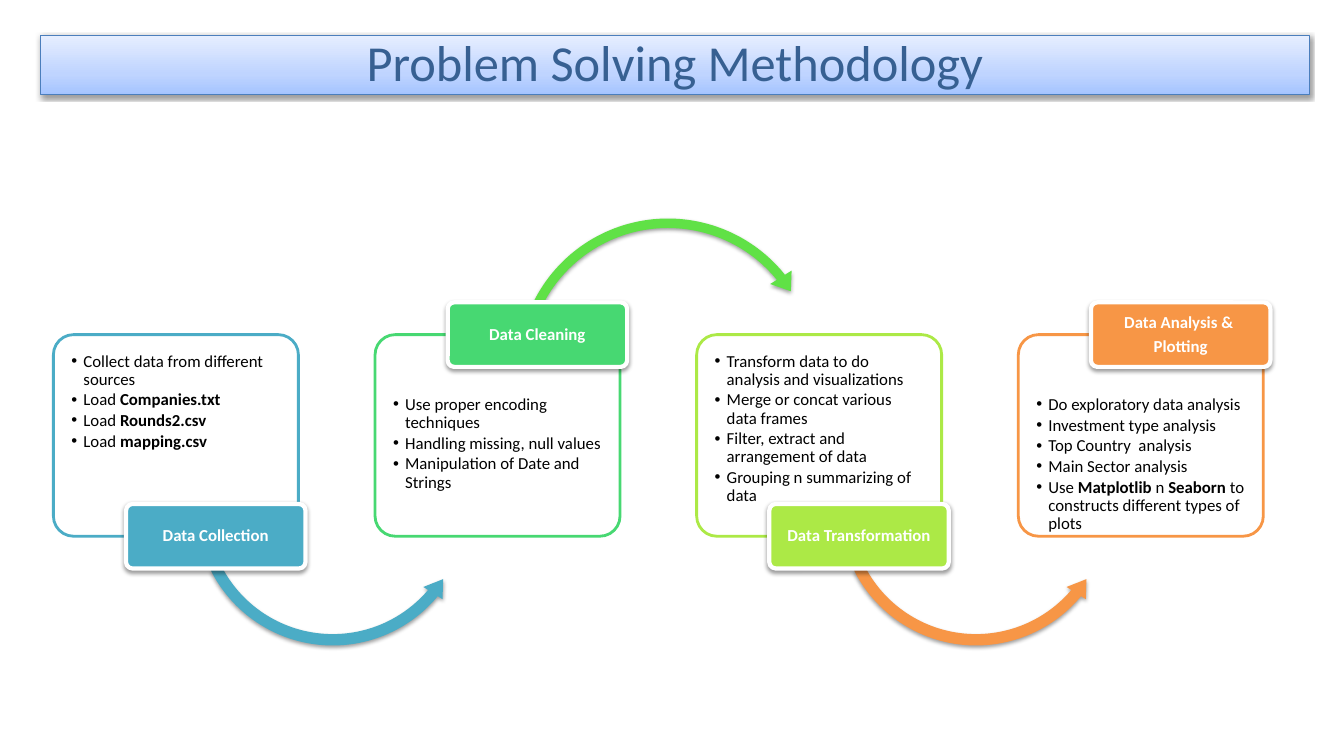
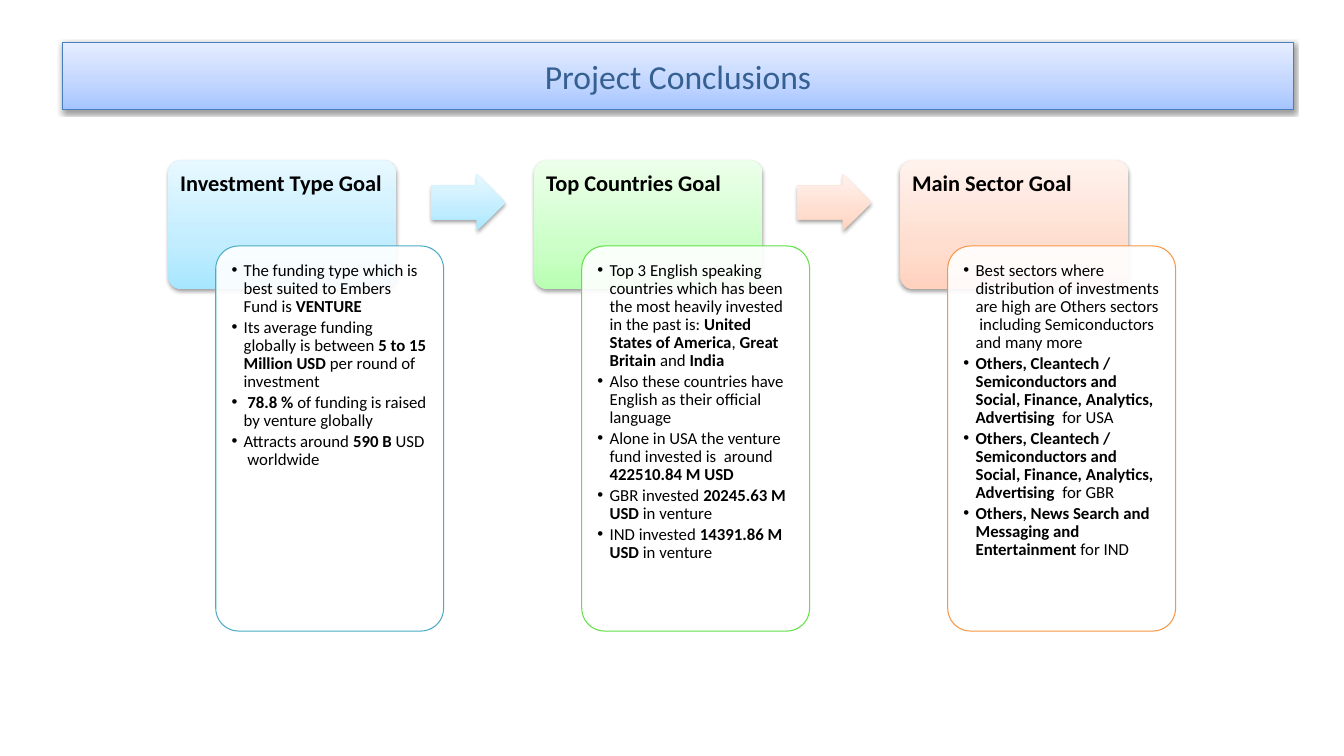
from lxml import etree
from pptx import Presentation
from pptx.dml.color import RGBColor
from pptx.enum.shapes import MSO_SHAPE
from pptx.enum.text import MSO_ANCHOR, PP_ALIGN
from pptx.oxml.ns import qn
from pptx.util import Emu, Inches, Pt

RECT, ROUNDED = MSO_SHAPE.RECTANGLE, MSO_SHAPE.ROUNDED_RECTANGLE
ARROW = MSO_SHAPE.RIGHT_ARROW
ARC_OVER, ARC_UNDER = MSO_SHAPE.CIRCULAR_ARROW, MSO_SHAPE.LEFT_CIRCULAR_ARROW
TOP, MIDDLE = MSO_ANCHOR.TOP, MSO_ANCHOR.MIDDLE
LEFT, CENTER = PP_ALIGN.LEFT, PP_ALIGN.CENTER

FONT = "Calibri"
BLACK = RGBColor(0x00, 0x00, 0x00)
WHITE = RGBColor(0xFF, 0xFF, 0xFF)
TITLE_TEXT = RGBColor(0x37, 0x60, 0x92)
TITLE_LINE = RGBColor(0x4B, 0x7E, 0xBC)
TEAL = RGBColor(0x4B, 0xAC, 0xC6)
EMERALD = RGBColor(0x47, 0xD8, 0x72)
GREEN = RGBColor(0x60, 0xE1, 0x46)
LIME = RGBColor(0xAC, 0xE9, 0x46)
ORANGE = RGBColor(0xF7, 0x96, 0x46)
BLUE_FADE = [RGBColor(0xA4, 0xC4, 0xFF), RGBColor(0xBF, 0xD4, 0xFF), RGBColor(0xE6, 0xEE, 0xFF)]
SKY_FADE = [RGBColor(0xA7, 0xE6, 0xFF), RGBColor(0xC1, 0xED, 0xFF), RGBColor(0xE7, 0xF8, 0xFF)]
MINT_FADE = [RGBColor(0xB9, 0xFF, 0xB2), RGBColor(0xCD, 0xFF, 0xC9), RGBColor(0xEC, 0xFF, 0xEA)]
PEACH_FADE = [RGBColor(0xFF, 0xD2, 0xBD), RGBColor(0xFF, 0xDE, 0xD0), RGBColor(0xFF, 0xF2, 0xED)]
FADE_STOPS = (0, 35000, 100000)

TITLE_FORMAT = {"size": 36, "color": TITLE_TEXT, "align": CENTER, "anchor": MIDDLE,
                "insets": (0.1, 0.05, 0.1, 0.05)}
BADGE_FORMAT = {"size": 12, "color": WHITE, "bold": True, "align": CENTER, "anchor": MIDDLE,
                "insets": (0.03, 0.02, 0.03, 0.02), "after": 4.2}
HEADING_FORMAT = {"size": 16, "color": BLACK, "bold": True, "insets": (0.08, 0.08, 0.08, 0.03)}
BULLET_FORMAT = {"size": 12, "color": BLACK, "after": 1.8, "bullet": True}

STEPS = [
    ("Data Collection", TEAL, TEAL,
     ["Collect data from different sources", "Load **Companies.txt**",
      "Load **Rounds2.csv**", "Load **mapping.csv**"]),
    ("Data Cleaning", EMERALD, GREEN,
     ["Use proper encoding techniques", "Handling missing, null values",
      "Manipulation of Date and Strings"]),
    ("Data Transformation", LIME, ORANGE,
     ["Transform data to do analysis and visualizations", "Merge or concat various data frames",
      "Filter, extract and arrangement of data", "Grouping n summarizing of data"]),
    ("Data Analysis & \nPlotting", ORANGE, None,
     ["Do exploratory data analysis", "Investment type analysis", "Top Country  analysis",
      "Main Sector analysis",
      "Use **Matplotlib** n **Seaborn** to constructs different types of plots"]),
]
SECTORS = "**Others, Cleantech / Semiconductors and Social, Finance, Analytics, Advertising  **for "
GOALS = [
    ("Investment Type Goal", SKY_FADE, TEAL, SKY_FADE,
     ["The funding type which is best suited to Embers Fund is **VENTURE**",
      "Its average funding globally is between **5 to 15 Million USD **per round of investment",
      " **78.8 % **of funding is raised by venture globally",
      "Attracts around **590 B **USD  worldwide"]),
    ("Top Countries Goal", MINT_FADE, GREEN, PEACH_FADE,
     ["Top 3 English speaking countries which has been  the most heavily invested in the past is: "
      "**United States of America**, **Great Britain **and **India**",
      "Also these countries have English as their official language",
      "Alone in USA the venture fund invested is  around  **422510.84 M USD**",
      "GBR invested **20245.63 M USD **in venture",
      "IND invested **14391.86 M USD **in venture"]),
    ("Main Sector Goal", PEACH_FADE, ORANGE, None,
     ["Best sectors where  distribution of investments are high are Others sectors  including "
      "Semiconductors and many more",
      SECTORS + "USA", SECTORS + "GBR",
      "**Others, News Search and Messaging and Entertainment **for IND"]),
]


def set_all(target, values):
    """Set each named attribute of the target."""
    for name, value in values.items():
        setattr(target, name, value)


def add_fade(shape, colors):
    """Fill a shape with a three-stop gradient rising from its bottom edge."""
    fade = etree.Element(qn("a:gradFill"), rotWithShape="1")
    stops = etree.SubElement(fade, qn("a:gsLst"))
    for position, color in zip(FADE_STOPS, colors):
        stop = etree.SubElement(stops, qn("a:gs"), pos=str(position))
        etree.SubElement(stop, qn("a:srgbClr"), val=str(color))
    etree.SubElement(fade, qn("a:lin"), ang="16200000", scaled="0")
    shape._element.spPr.find(qn("a:prstGeom")).addnext(fade)


def add_shadow(shape):
    """Give a shape a soft shadow falling downwards."""
    effects = shape._element.spPr.find(qn("a:effectLst"))
    shadow = etree.SubElement(effects, qn("a:outerShdw"), blurRad=str(Pt(3.1)),
                              dist=str(Pt(1.6)), dir="5400000", rotWithShape="0")
    color = etree.SubElement(shadow, qn("a:srgbClr"), val=str(BLACK))
    etree.SubElement(color, qn("a:alpha"), val="38000")


def add_box(page, kind, box, fill, line=None, width=0.75, adjust=(), alpha=None, shadow=True):
    """Add a preset shape in a box of inches, with a flat or graded fill."""
    shape = page.shapes.add_shape(kind, *[Inches(value) for value in box])
    shape.shadow.inherit = False
    for index, value in enumerate(adjust):
        shape.adjustments[index] = value
    if isinstance(fill, list):
        add_fade(shape, fill)
    else:
        shape.fill.solid()
        shape.fill.fore_color.rgb = fill
    if alpha:
        color = shape._element.spPr.find(qn("a:solidFill")).find(qn("a:srgbClr"))
        etree.SubElement(color, qn("a:alpha"), val=str(alpha * 1000))
    if line is None:
        shape.line.fill.background()
    else:
        shape.line.color.rgb = line
        shape.line.width = Pt(width)
    if shadow:
        add_shadow(shape)
    return shape


def add_bullet(para):
    """Give a paragraph a round bullet with a hanging indent."""
    properties = para._p.get_or_add_pPr()
    properties.set("marL", str(Inches(0.12)))
    properties.set("indent", str(Inches(-0.12)))
    etree.SubElement(properties, qn("a:buFont"), typeface="Arial")
    etree.SubElement(properties, qn("a:buChar"), char="•")


def write(shape, lines, size, color, bold=False, align=LEFT, anchor=TOP,
          insets=(0.1, 0.1, 0.1, 0.1), spacing=0.9, after=0, bullet=False):
    """Write paragraphs into a shape, with bold between double asterisks."""
    frame = shape.text_frame
    sides = ("margin_left", "margin_top", "margin_right", "margin_bottom")
    set_all(frame, {"word_wrap": True, "vertical_anchor": anchor})
    set_all(frame, dict(zip(sides, [Inches(value) for value in insets])))
    for index, line in enumerate(lines):
        para = frame.add_paragraph() if index else frame.paragraphs[0]
        set_all(para, {"alignment": align, "line_spacing": spacing,
                       "space_before": Emu(0), "space_after": Pt(after)})
        if bullet:
            add_bullet(para)
        for part, text in enumerate(line.split("**")):
            if text:
                span = para.add_run()
                span.text = text
                set_all(span.font, {"name": FONT, "size": Pt(size), "bold": bold or part % 2 == 1})
                span.font.color.rgb = color


def add_title(page, box, text, **changes):
    """Add the graded title band."""
    band = add_box(page, RECT, box, BLUE_FADE, TITLE_LINE)
    write(band, [text], **{**TITLE_FORMAT, **changes})


def add_step(page, left, top, step, badge_on_top):
    """Add a step card with its badge and the arc that leads to the next step."""
    name, color, arc_color, bullets = step
    card = add_box(page, ROUNDED, (left, top, 2.43, 2), WHITE, color, 2, [0.1], 90, False)
    inset_top = 0.55 if badge_on_top else 0.12
    write(card, bullets, insets=(0.12, inset_top, 0.12, 0.12), **BULLET_FORMAT)
    if arc_color and badge_on_top:
        add_box(page, ARC_OVER, (left + 1.34, top - 1.23, 3.13, 3.13), arc_color,
                adjust=(0.03, 4.06, 192.68, 124.25, 0.04))
    elif arc_color:
        add_box(page, ARC_UNDER, (left + 1.36, top + 0.32, 2.82, 2.82), arc_color,
                adjust=(0.04, 4.55, 24, 91.94, 0.04))
    badge_top = top - 0.32 if badge_on_top else top + 1.68
    badge = add_box(page, ROUNDED, (left + 0.72, badge_top, 1.78, 0.64), color, WHITE, 3, [0.1])
    write(badge, name.split("\n"), **BADGE_FORMAT)


def add_goal(page, left, top, goal):
    """Add a goal heading, its overlapping card and the arrow to the next goal."""
    name, fade, color, arrow_fade, bullets = goal
    heading = add_box(page, ROUNDED, (left, top, 2.26, 1.28), fade, adjust=[0.1])
    write(heading, [name], **HEADING_FORMAT)
    card = add_box(page, ROUNDED, (left + 0.47, top + 0.85, 2.26, 3.82), WHITE, color,
                   adjust=[0.1], alpha=90, shadow=False)
    write(card, bullets, insets=(0.09, 0.09, 0.09, 0.09), **BULLET_FORMAT)
    if arrow_fade:
        add_box(page, ARROW, (left + 2.61, top + 0.14, 0.73, 0.56), arrow_fade, adjust=(0.6, 0.5))


def build_methodology(page):
    """Build the slide of four linked steps."""
    add_title(page, (0.4, 0.35, 12.59, 0.59), "Problem Solving Methodology")
    for index, step in enumerate(STEPS):
        add_step(page, 0.53 + 3.19 * index, 3.32, step, index % 2 == 1)


def build_conclusions(page):
    """Build the slide of three goals."""
    add_title(page, (0.62, 0.42, 12.21, 0.67), "Project Conclusions", size=24, spacing=1.0)
    for index, goal in enumerate(GOALS):
        add_goal(page, 1.67 + 3.63 * index, 1.59, goal)


def main():
    """Build and save the deck."""
    deck = Presentation()
    set_all(deck, {"slide_width": Inches(13.33), "slide_height": Inches(7.5)})
    for build in (build_methodology, build_conclusions):
        build(deck.slides.add_slide(deck.slide_layouts[6]))
    deck.save("out.pptx")


if __name__ == "__main__":
    main()
